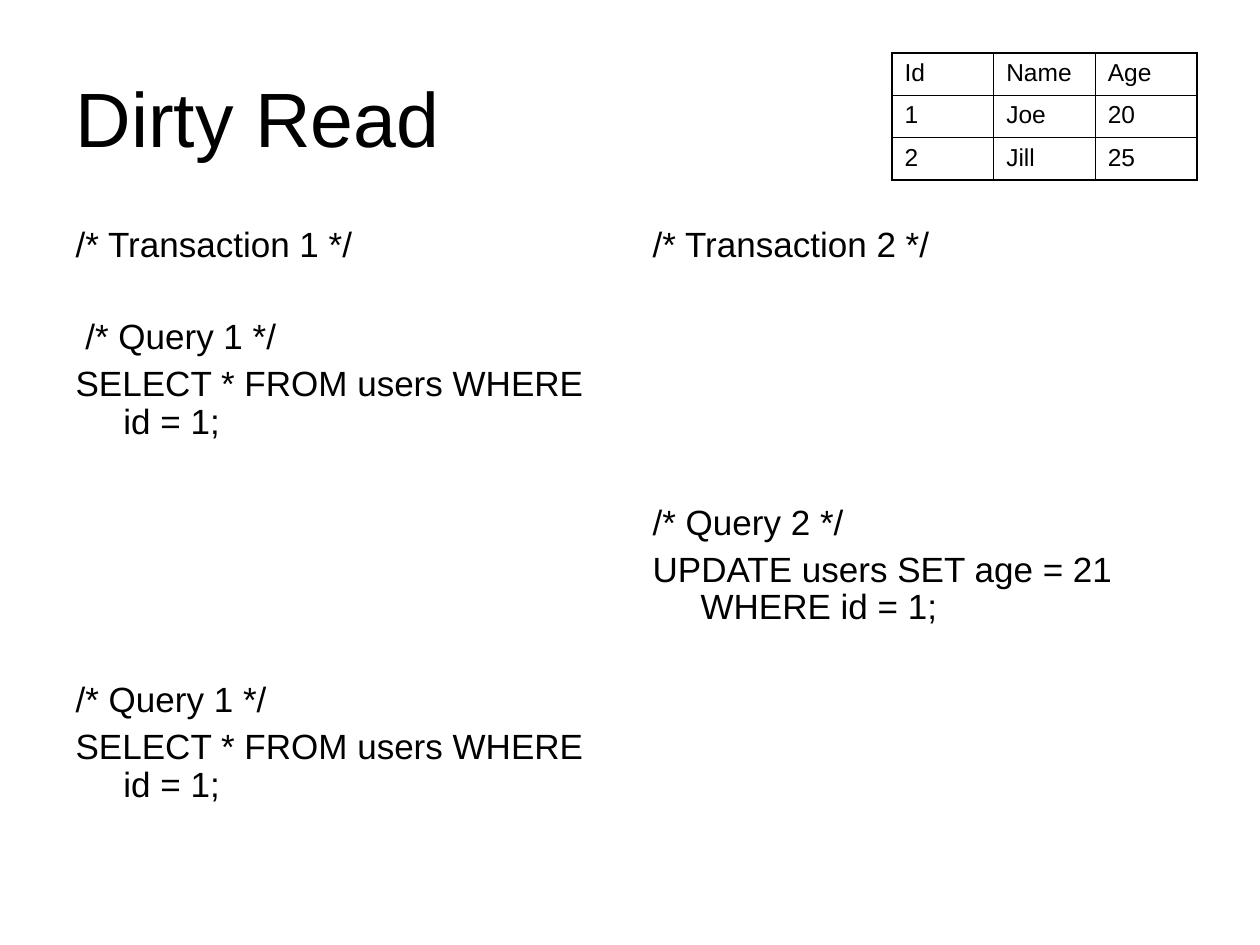
import pptx
import pptx.util
import pptx.dml.color
import pptx.enum.text
import pptx.oxml
import pptx.oxml.ns

Pt = pptx.util.Pt
COLORS = {"text": "000000", "line": "000000", "paper": "FFFFFF"}
COLS, ROWS = 40, 30  # slide grid
LINE_PITCH = 26.5    # height of one code line with its gap, in points


def rgb(name):
    return pptx.dml.color.RGBColor.from_string(COLORS[name])


def apply(target, values):
    for name, value in values.items():
        setattr(target, name, value)


class Deck:
    font = "Arial"
    code_format = {"line_spacing": 0.9, "alignment": pptx.enum.text.PP_ALIGN.LEFT}
    indent = pptx.util.Inches(0.38)
    outer, inner = Pt(1.08), Pt(0.45)

    def __init__(self, prs):
        self.prs = prs
        self.s = prs.slides.add_slide(prs.slide_layouts[3])
        self.s.background.fill.solid()
        self.s.background.fill.fore_color.rgb = rgb("paper")

    def box(self, col, row, cols, rows):
        w, h = self.prs.slide_width / COLS, self.prs.slide_height / ROWS
        return dict(left=round(col * w), top=round(row * h),
                    width=round(cols * w), height=round(rows * h))

    def add_text(self, p, text, size):
        r = p.add_run()
        r.text = text
        apply(r.font, {"name": self.font, "size": Pt(size)})
        r.font.color.rgb = rgb("text")

    def place(self, idx, box, anchor):
        sp = self.s.placeholders[idx]
        apply(sp, self.box(*box))
        tf = sp.text_frame
        apply(tf, {"word_wrap": True, "vertical_anchor": anchor,
                   "auto_size": pptx.enum.text.MSO_AUTO_SIZE.NONE})
        return tf

    def title(self, text, box):
        p = self.place(0, box, pptx.enum.text.MSO_ANCHOR.MIDDLE).paragraphs[0]
        p.alignment = pptx.enum.text.PP_ALIGN.LEFT
        self.add_text(p, text, 44)

    def code(self, idx, lines, box):
        """Each line is (text, number of line heights left free above it)."""
        tf = self.place(idx, box, pptx.enum.text.MSO_ANCHOR.TOP)
        for i, (text, skipped) in enumerate(lines):
            p = tf.paragraphs[0] if i == 0 else tf.add_paragraph()
            apply(p, self.code_format)
            p.space_before = Pt(5 + skipped * LINE_PITCH if i else 0)
            pPr = p._p.get_or_add_pPr()
            pPr.set("marL", str(self.indent))
            pPr.set("indent", str(-self.indent))
            pPr.append(pptx.oxml.parse_xml(
                f"<a:buNone {pptx.oxml.ns.nsdecls('a')}/>"))
            self.add_text(p, text, 20)

    def border(self, cell, side, width):
        cell._tc.get_or_add_tcPr().append(pptx.oxml.parse_xml(
            f'<a:{side} {pptx.oxml.ns.nsdecls("a")} w="{width}"><a:solidFill>'
            f'<a:srgbClr val="{COLORS["line"]}"/></a:solidFill></a:{side}>'))

    def table(self, data, box):
        n, m = len(data), len(data[0])
        place = self.box(*box)
        table = self.s.shapes.add_table(n, m, **place).table
        apply(table, {"first_row": False, "horz_banding": False})
        for col in table.columns:
            col.width = round(place["width"] / m)
        for row in table.rows:
            row.height = round(place["height"] / n)
        for i, values in enumerate(data):
            for j, text in enumerate(values):
                cell = table.cell(i, j)
                edges = {"lnL": j == 0, "lnR": j == m - 1,
                         "lnT": i == 0, "lnB": i == n - 1}
                for side, outside in edges.items():
                    self.border(cell, side, self.outer if outside else self.inner)
                cell.fill.background()
                self.add_text(cell.text_frame.paragraphs[0], text, 14)


def main():
    prs = pptx.Presentation()
    prs.slide_width, prs.slide_height = pptx.util.Inches(10), pptx.util.Inches(7.5)
    deck = Deck(prs)

    # Heading
    deck.title("Dirty Read", (2, 1.2, 36, 5))

    # The two transactions, side by side in time order
    select = "SELECT * FROM users WHERE id = 1;"
    deck.code(1, [("/* Transaction 1 */", 0), (" /* Query 1 */", 1), (select, 0),
                  ("/* Query 1 */", 5), (select, 0)], (2, 7, 17.68, 19.8))
    deck.code(2, [("/* Transaction 2 */", 0), ("/* Query 2 */", 5),
                  ("UPDATE users SET age = 21 WHERE id = 1;", 0)],
              (20.32, 7, 17.68, 19.8))

    # The users table
    deck.table([("Id", "Name", "Age"), ("1", "Joe", "20"), ("2", "Jill", "25")],
               (28.32, 1.68, 9.68, 4.04))
    prs.save("out.pptx")


if __name__ == "__main__":
    main()
